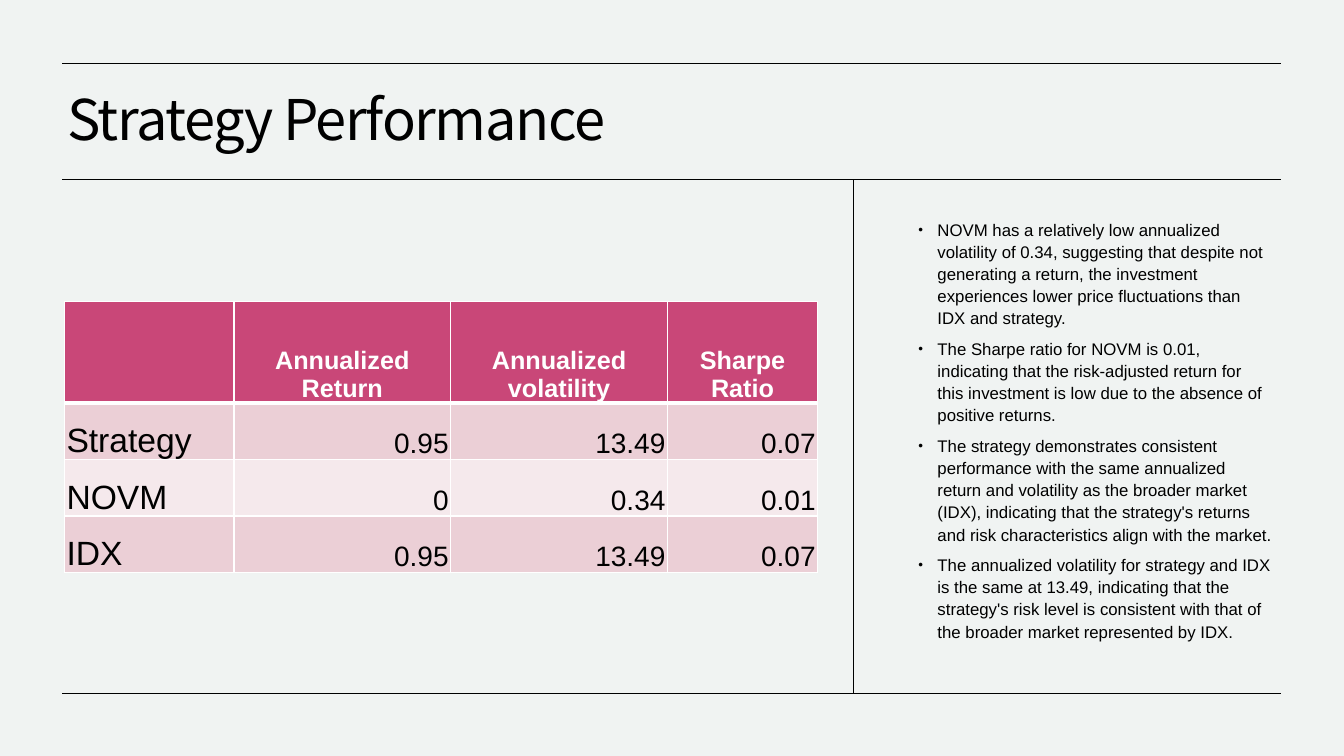
from pptx import Presentation
from pptx.dml.color import RGBColor
from pptx.enum.shapes import MSO_CONNECTOR
from pptx.enum.text import MSO_ANCHOR, PP_ALIGN
from pptx.oxml.ns import qn
from pptx.util import Inches, Pt
from lxml import etree

STRAIGHT = MSO_CONNECTOR.STRAIGHT
TOP, MIDDLE, BOTTOM = MSO_ANCHOR.TOP, MSO_ANCHOR.MIDDLE, MSO_ANCHOR.BOTTOM
LEFT, CENTER, RIGHT = PP_ALIGN.LEFT, PP_ALIGN.CENTER, PP_ALIGN.RIGHT

COLORS = {
    "background": "F0F3F2",
    "ink": "000000",
    "white": "FFFFFF",
    "header": "C94778",
    "odd_row": "EBCFD6",
    "even_row": "F5E9EC",
}
GRID = Inches(0.1)
LEFT_EDGE, RIGHT_EDGE, DIVIDER = 6.2, 127.1, 84.6
TOP_RULE, TITLE_RULE, BOTTOM_RULE = 6.3, 17.8, 68.8


def write_text(paragraph, text, size, color="ink", font="Arial", bold=False,
               align=LEFT, line_spacing=1.0, tracking=None):
    paragraph.alignment = align
    paragraph.line_spacing = line_spacing
    run = paragraph.add_run()
    run.text = text
    run.font.size = Pt(size)
    run.font.name = font
    run.font.bold = bold
    run.font.color.rgb = RGBColor.from_string(COLORS[color])
    properties = run._r.get_or_add_rPr()
    for tag in ("a:ea", "a:cs"):
        etree.SubElement(properties, qn(tag), typeface=font)
    if tracking:
        properties.set("spc", str(tracking))


def add_border(cell, side, points):
    properties = cell._tc.get_or_add_tcPr()
    border = etree.SubElement(properties, qn(f"a:ln{side}"), w=str(Pt(points)))
    fill = etree.SubElement(border, qn("a:solidFill"))
    etree.SubElement(fill, qn("a:srgbClr"), val=COLORS["white"])


presentation = Presentation()
presentation.slide_width = Inches(13.33)
presentation.slide_height = Inches(7.5)
slide = presentation.slides.add_slide(presentation.slide_layouts[6])
slide.background.fill.solid()
slide.background.fill.fore_color.rgb = RGBColor.from_string(COLORS["background"])

rules = [(LEFT_EDGE, y, RIGHT_EDGE, y) for y in (TOP_RULE, TITLE_RULE, BOTTOM_RULE)]
rules.append((DIVIDER, TITLE_RULE, DIVIDER, BOTTOM_RULE))
for ends in rules:
    rule = slide.shapes.add_connector(STRAIGHT, *(int(end * GRID) for end in ends))
    rule.line.color.rgb = RGBColor.from_string(COLORS["ink"])
    rule.line.width = Pt(0.5)
    etree.SubElement(rule._element.spPr, qn("a:effectLst"))

text_frames = []
for area, anchor in (((5.7, 7.5, 121.5, 9.3), MIDDLE), ((89.5, 21.1, 37.7, 46.4), TOP)):
    text_box = slide.shapes.add_textbox(*(int(length * GRID) for length in area))
    text_box.text_frame.word_wrap = True
    text_box.text_frame.vertical_anchor = anchor
    text_frames.append(text_box.text_frame)
title, findings = text_frames

write_text(title.paragraphs[0], "Strategy Performance", size=40,
           font="Noto Sans CJK KR", line_spacing=0.9, tracking=-100)

finding_texts = [
    "NOVM has a relatively low annualized volatility of 0.34, suggesting that despite not generating a return, the investment experiences lower price fluctuations than IDX and strategy.",
    "The Sharpe ratio for NOVM is 0.01, indicating that the risk-adjusted return for this investment is low due to the absence of positive returns.",
    "The strategy demonstrates consistent performance with the same annualized return and volatility as the broader market (IDX), indicating that the strategy's returns and risk characteristics align with the market.",
    "The annualized volatility for strategy and IDX is the same at 13.49, indicating that the strategy's risk level is consistent with that of the broader market represented by IDX.",
]
for index, text in enumerate(finding_texts):
    paragraph = findings.add_paragraph() if index else findings.paragraphs[0]
    properties = paragraph._p.get_or_add_pPr()
    properties.set("marL", str(Inches(0.25)))
    properties.set("indent", str(Inches(-0.19)))
    etree.SubElement(properties, qn("a:buSzPct"), val="80000")
    etree.SubElement(properties, qn("a:buFont"), typeface="Arial")
    etree.SubElement(properties, qn("a:buChar"), char="•")
    paragraph.space_after = Pt(6)
    write_text(paragraph, text, size=12, line_spacing=1.1)

table_rows = [
    ["", "Annualized Return", "Annualized volatility", "Sharpe\nRatio"],
    ["Strategy", "0.95", "13.49", "0.07"],
    ["NOVM", "0", "0.34", "0.01"],
    ["IDX", "0.95", "13.49", "0.07"],
]
column_widths = [16.8, 21.5, 21.5, 14.9]
row_heights = [10.1, 5.6, 5.6, 5.6]
table = slide.shapes.add_table(
    len(table_rows), len(column_widths), int(6.4 * GRID), int(29.9 * GRID),
    int(sum(column_widths) * GRID), int(sum(row_heights) * GRID)).table
for column, width in zip(table.columns, column_widths):
    column.width = int(width * GRID)
for row, height in zip(table.rows, row_heights):
    row.height = int(height * GRID)

for row_index, values in enumerate(table_rows):
    is_header = row_index == 0
    fill_name = "header" if is_header else "odd_row" if row_index % 2 else "even_row"
    for column_index, value in enumerate(values):
        cell = table.cell(row_index, column_index)
        cell.vertical_anchor = BOTTOM
        cell.margin_left = cell.margin_right = cell.margin_top = Inches(0.02)
        cell.margin_bottom = 0
        for side in "LRTB":
            heavy = (row_index, side) in ((0, "B"), (1, "T"))
            add_border(cell, side, 3 if heavy else 1)
        cell.fill.solid()
        cell.fill.fore_color.rgb = RGBColor.from_string(COLORS[fill_name])
        if is_header:
            style = dict(size=18, color="white", bold=True, align=CENTER)
        elif column_index == 0:
            style = dict(size=24)
        else:
            style = dict(size=20, align=RIGHT)
        for line_index, line in enumerate(value.splitlines()):
            frame = cell.text_frame
            paragraph = frame.add_paragraph() if line_index else frame.paragraphs[0]
            write_text(paragraph, line, **style)

presentation.save("out.pptx")
